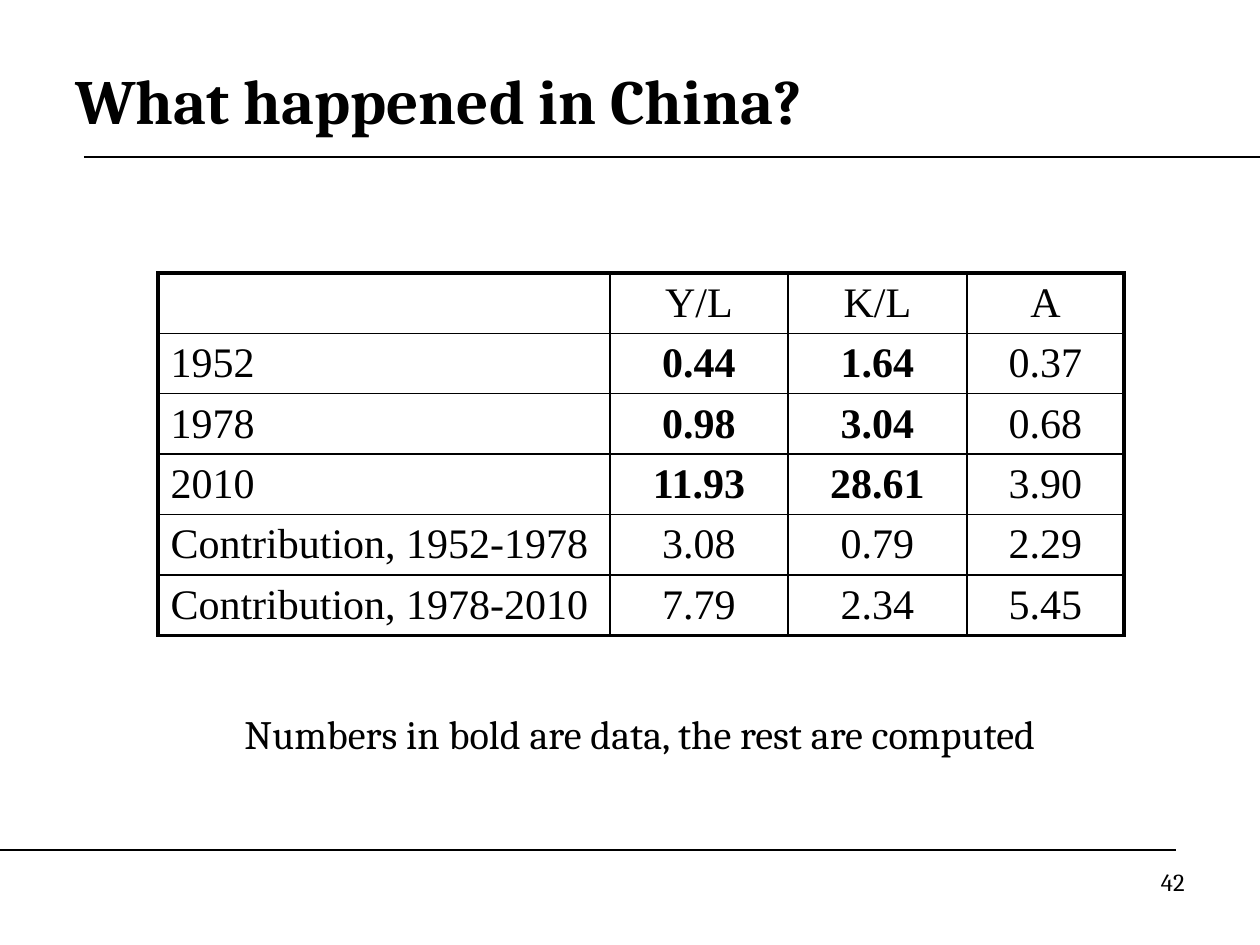
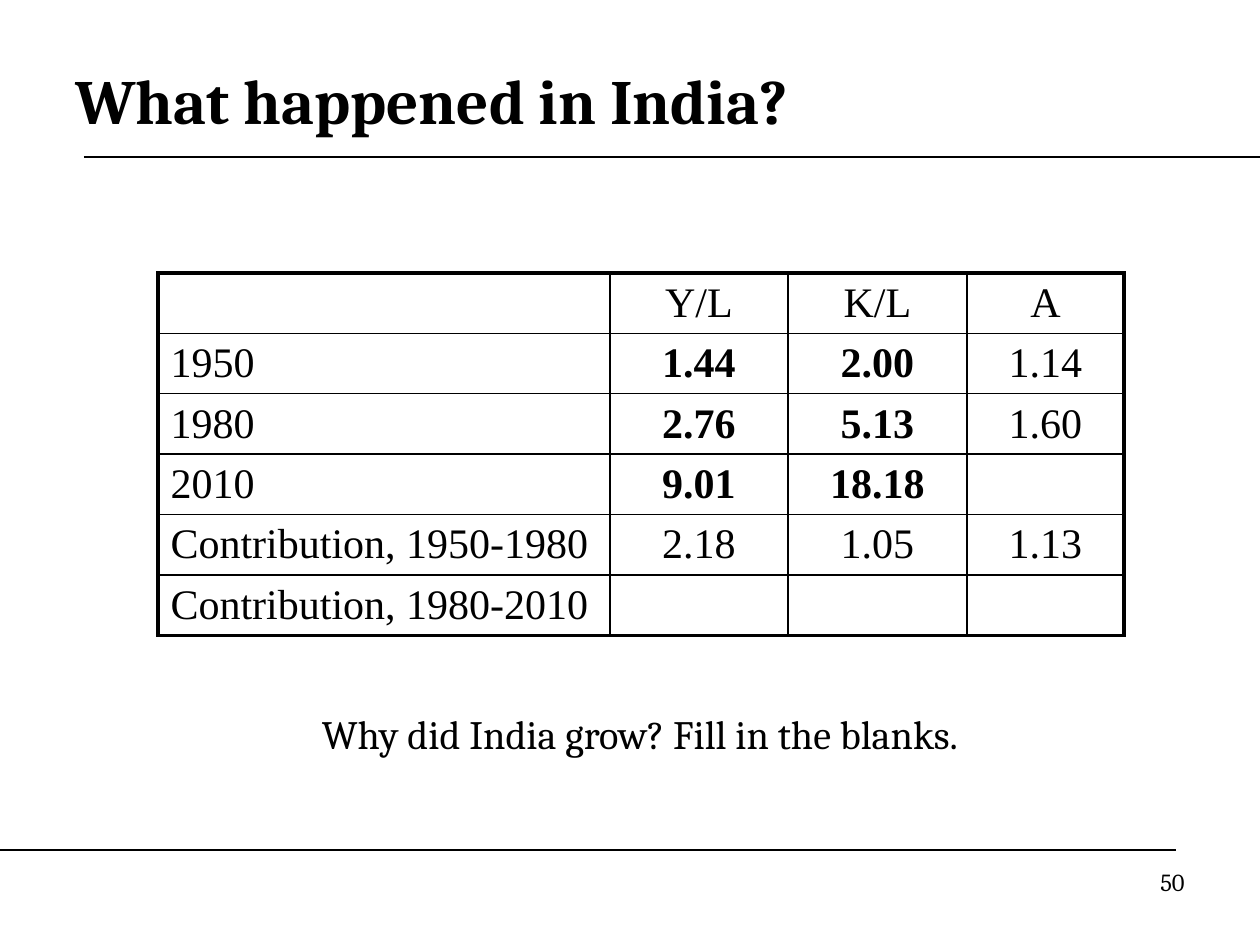
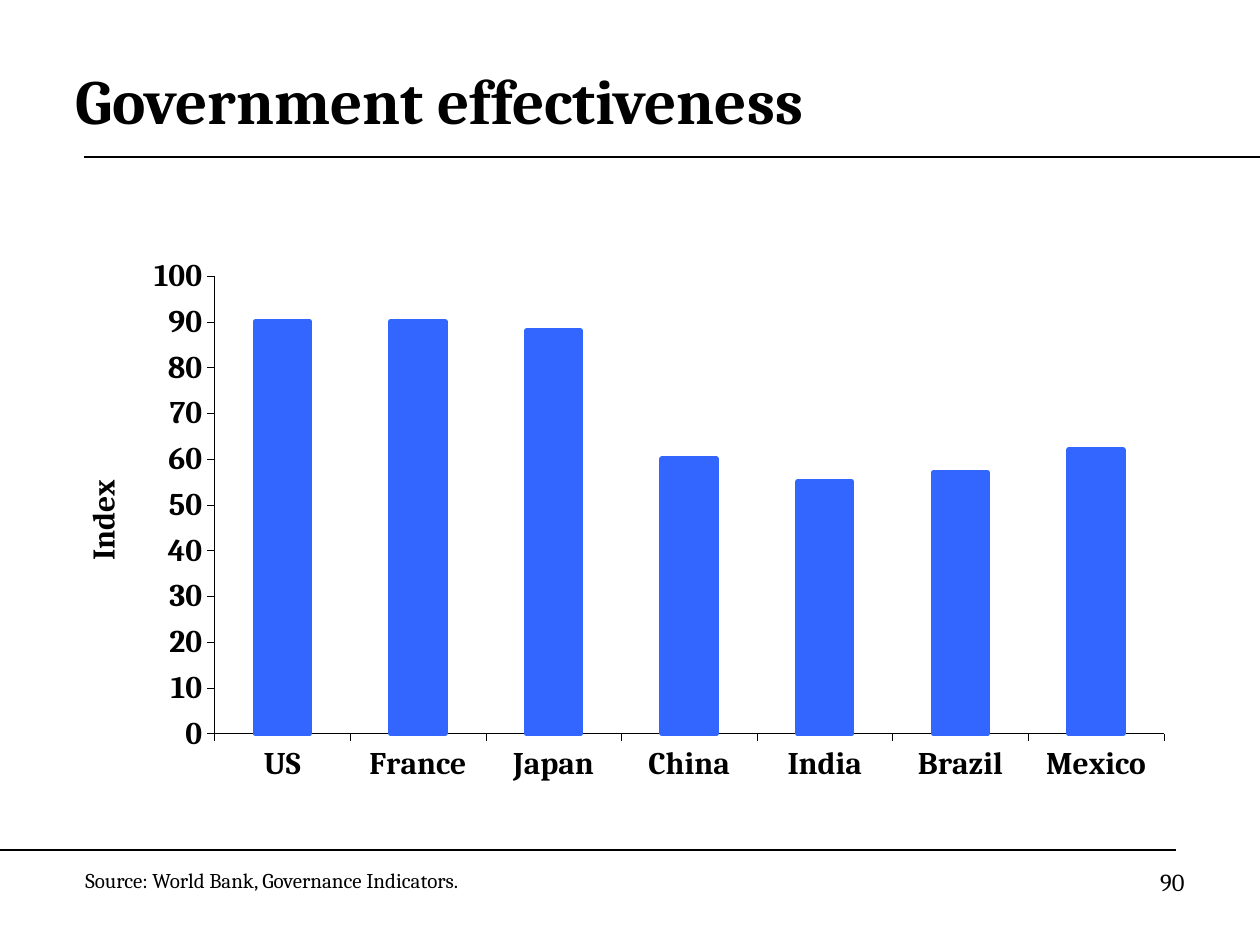
from lxml import etree
from pptx import Presentation
from pptx.chart import data
from pptx.dml import color
from pptx.enum import chart as kinds, shapes, text
from pptx.oxml import ns, parse_xml
from pptx.util import Emu, Pt

PX = 914400 / 126
SERIF, ROMAN = "Cambria", "Times New Roman"
BLACK, BLUE = "000000", "3366FF"
LEFT, MID, RIGHT = text.PP_ALIGN.LEFT, text.PP_ALIGN.CENTER, text.PP_ALIGN.RIGHT


def style(font, size, face=SERIF, bold=False):
    font.size, font.name, font.bold = Pt(size), face, bold
    font.color.rgb = color.RGBColor.from_string(BLACK)


def label(slide, words, box, size, align=LEFT, bold=False):
    frame = slide.shapes.add_textbox(*[Emu(int(n * PX)) for n in box]).text_frame
    frame.word_wrap = True
    frame.vertical_anchor = text.MSO_ANCHOR.MIDDLE if bold else text.MSO_ANCHOR.TOP
    para = frame.paragraphs[0]
    para.text, para.alignment = words, align
    style(para.font, size, bold=bold)


pages = [
    ("What happened in China?", "42"),
    ("What happened in India?", "50"),
    ("Government effectiveness", "90"),
]
rules = [(84, 157, 1260), (0, 850, 1176)]
head = ["", "Y/L", "K/L", "A"]
tables = [
    [
        head,
        ["1952", "0.44", "1.64", "0.37"],
        ["1978", "0.98", "3.04", "0.68"],
        ["2010", "11.93", "28.61", "3.90"],
        ["Contribution, 1952-1978", "3.08", "0.79", "2.29"],
        ["Contribution, 1978-2010", "7.79", "2.34", "5.45"],
    ],
    [
        head,
        ["1950", "1.44", "2.00", "1.14"],
        ["1980", "2.76", "5.13", "1.60"],
        ["2010", "9.01", "18.18", ""],
        ["Contribution, 1950-1980", "2.18", "1.05", "1.13"],
        ["Contribution, 1980-2010", "", "", ""],
    ],
]
notes = [
    "Numbers in bold are data, the rest are computed",
    "Why did India grow? Fill in the blanks.",
]
widths, high = [452, 178, 179, 157], 59
scores = {"US": 90, "France": 90, "Japan": 88, "China": 60,
          "India": 55, "Brazil": 57, "Mexico": 62}

deck = Presentation()
deck.slide_width, deck.slide_height = Emu(int(1260 * PX)), Emu(int(945 * PX))
slides = []
for title, num in pages:
    slide = deck.slides.add_slide(deck.slide_layouts[6])
    slides.append(slide)
    for x, y, end in rules:
        ends = [Emu(int(n * PX)) for n in (x, y, end, y)]
        line = slide.shapes.add_connector(shapes.MSO_CONNECTOR.STRAIGHT, *ends)
        line.line.width = Pt(0.75)
        line.line.color.rgb = color.RGBColor.from_string(BLACK)
        etree.SubElement(line._element.spPr, ns.qn("a:effectLst"))
    label(slide, title, (63, 42, 1134, 115), 36, bold=True)
    label(slide, num, (903, 861, 294, 65), 14, RIGHT)

for slide, rows, note in zip(slides, tables, notes):
    box = [Emu(int(n * PX)) for n in (158, 273, sum(widths), high * len(rows))]
    grid = slide.shapes.add_table(len(rows), len(head), *box).table
    grid.first_row = grid.horz_banding = False
    for col, wide in zip(grid.columns, widths):
        col.width = Emu(int(wide * PX))
    for r, row in enumerate(rows):
        grid.rows[r].height = Emu(int(high * PX))
        for c, words in enumerate(row):
            cell = grid.cell(r, c)
            cell.fill.background()
            cell.vertical_anchor = text.MSO_ANCHOR.MIDDLE
            cell.margin_top = cell.margin_bottom = Emu(int(5 * PX))
            para = cell.text_frame.paragraphs[0]
            para.text, para.alignment = words, MID if c else LEFT
            style(para.font, 24, ROMAN, r in (1, 2, 3) and c in (1, 2))
            edges = {"L": c == 0, "R": c == len(head) - 1,
                     "T": r == 0, "B": r == len(rows) - 1}
            for i, (side, outer) in enumerate(edges.items()):
                edge = parse_xml(
                    f'<a:ln{side} {ns.nsdecls("a")} w="{Pt(2.25 if outer else 1)}">'
                    f'<a:solidFill><a:srgbClr val="{BLACK}"/></a:solidFill></a:ln{side}>')
                cell._tc.get_or_add_tcPr().insert(i, edge)
    label(slide, note, (84, 703, 1113, 116), 23, MID)

feed = data.CategoryChartData()
feed.categories = list(scores)
feed.add_series("Series 1", list(scores.values()))
box = [Emu(int(n * PX)) for n in (71, 228, 1104, 602)]
chart = slides[2].shapes.add_chart(kinds.XL_CHART_TYPE.COLUMN_CLUSTERED, *box, feed).chart
chart.has_legend = chart.has_title = False
style(chart.font, 18, bold=True)
plot = chart.plots[0]
plot.gap_width, plot.vary_by_categories = 150, False
bars = plot.series[0].format
bars.fill.solid()
bars.fill.fore_color.rgb = bars.line.color.rgb = color.RGBColor.from_string(BLUE)
bars.line.width = Pt(3)
for axis in (chart.category_axis, chart.value_axis):
    axis.has_major_gridlines = False
    axis.major_tick_mark = kinds.XL_TICK_MARK.OUTSIDE
    axis.format.line.width = Pt(0.25)
    axis.format.line.color.rgb = color.RGBColor.from_string(BLACK)
    style(axis.tick_labels.font, 18, bold=True)
axis.minimum_scale, axis.maximum_scale, axis.major_unit = 0, 100, 10
name = axis.axis_title.text_frame.paragraphs[0]
name.text = "Index"
style(name.font, 18, bold=True)
area = chart._chartSpace.chart.plotArea
for old in area.findall(ns.qn("c:layout")):
    area.remove(old)
layout = etree.Element(ns.qn("c:layout"))
area.insert(0, layout)
manual = etree.SubElement(layout, ns.qn("c:manualLayout"))
for tag, val in [("layoutTarget", "inner"), ("xMode", "edge"), ("yMode", "edge"),
                 ("x", "0.13"), ("y", "0.08"), ("w", "0.86"), ("h", "0.76")]:
    etree.SubElement(manual, ns.qn("c:" + tag)).set("val", val)
label(slides[2], "Source: World Bank, Governance Indicators.", (73, 861, 609, 38), 12)

deck.save("out.pptx")
